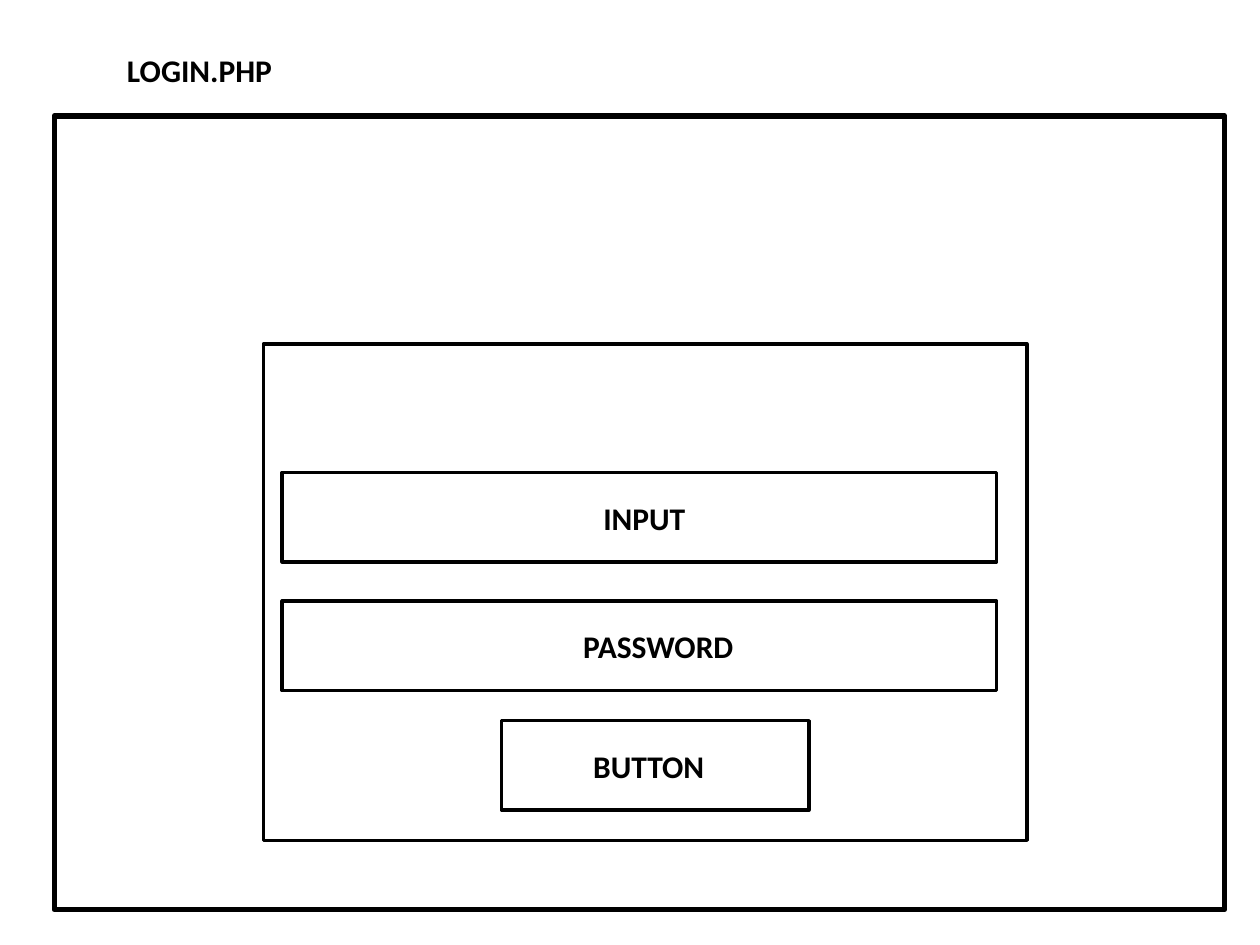
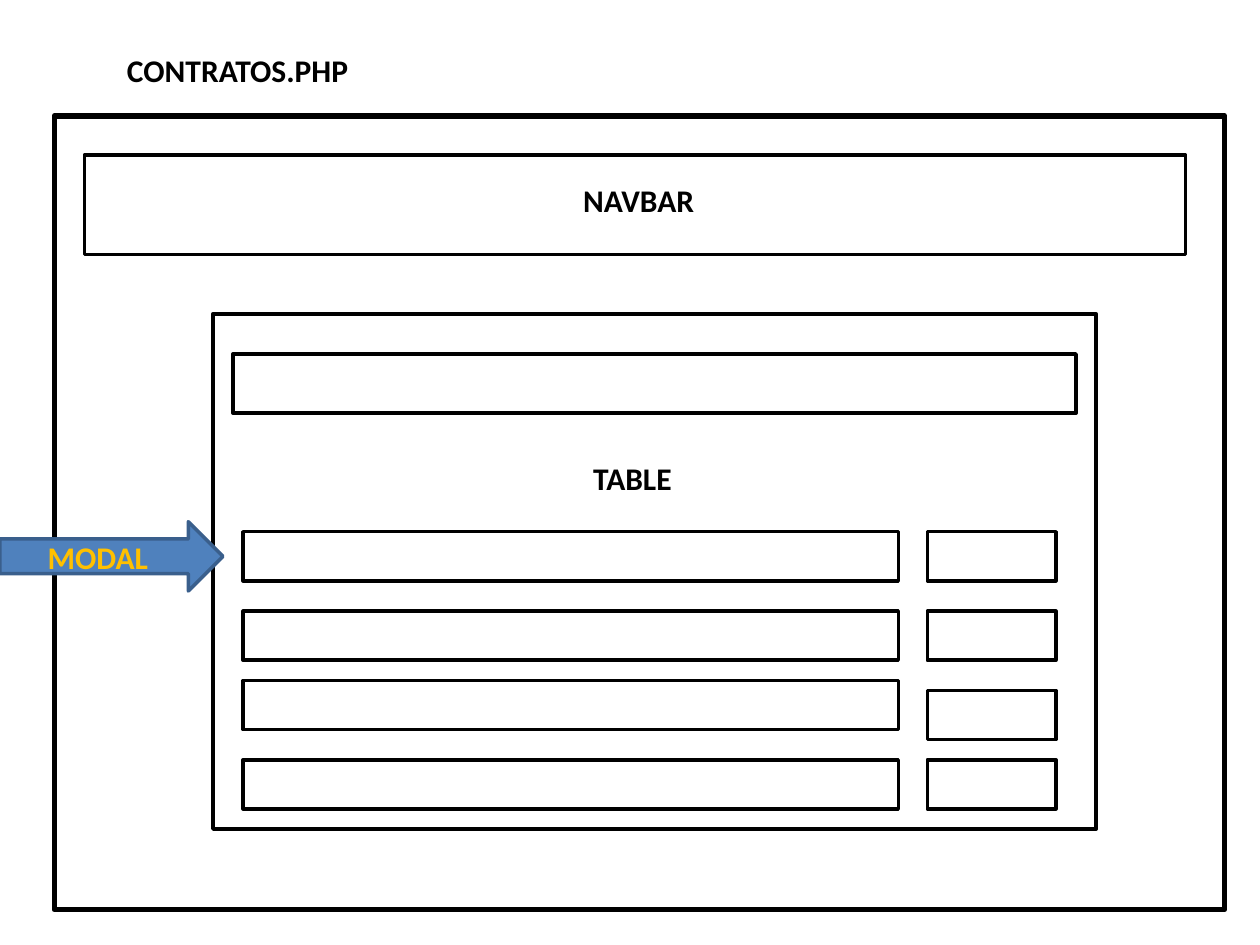
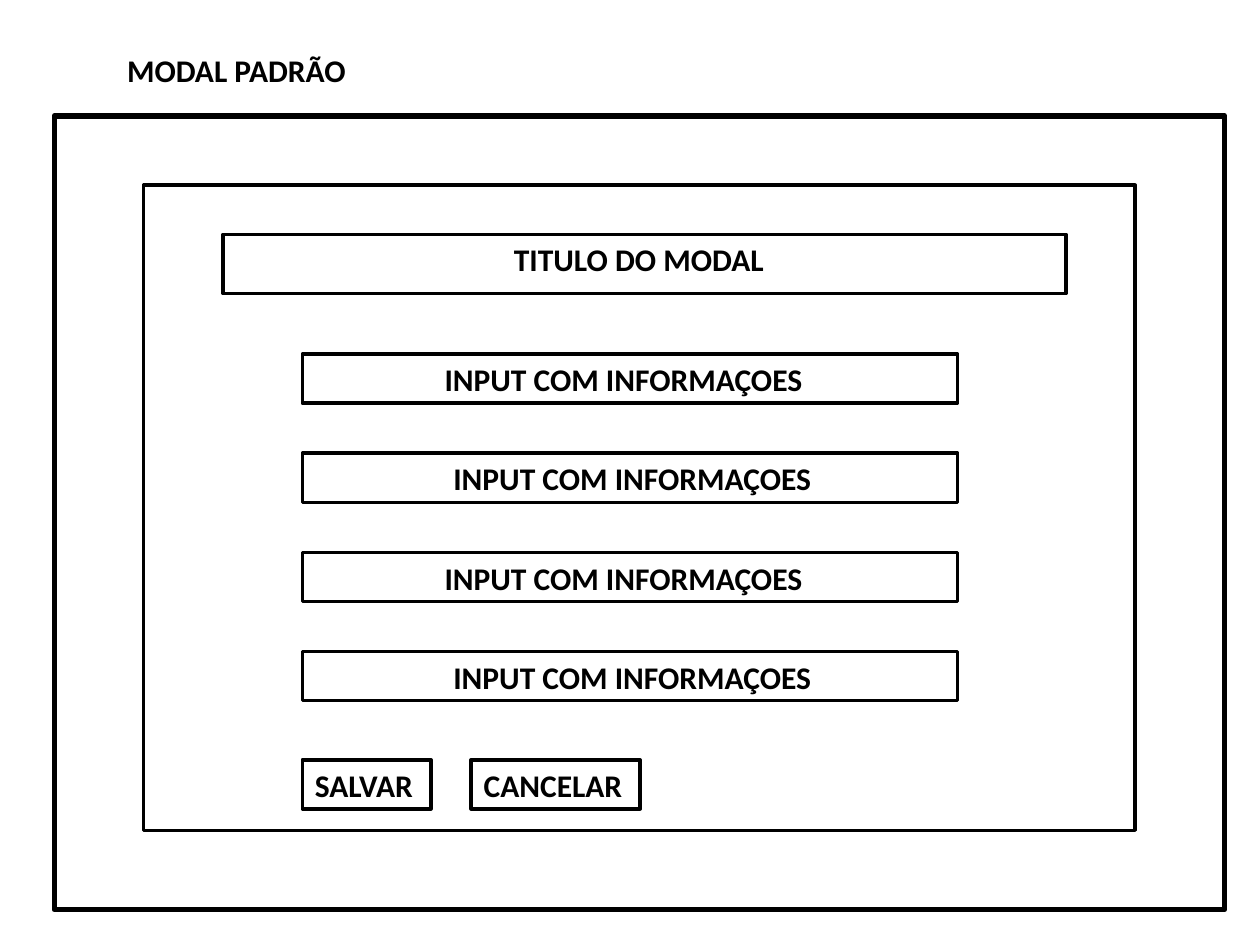
from pptx import Presentation
from pptx.dml.color import RGBColor
from pptx.enum.shapes import MSO_SHAPE
from pptx.enum.text import MSO_AUTO_SIZE
from pptx.util import Inches, Pt

RECTANGLE = MSO_SHAPE.RECTANGLE
RIGHT_ARROW = MSO_SHAPE.RIGHT_ARROW
FIT_SHAPE = MSO_AUTO_SIZE.SHAPE_TO_FIT_TEXT

COLORS = {
    "ink": "000000",
    "paper": "FFFFFF",
    "arrow": "4F81BD",
    "arrow_edge": "3A5F8C",
    "arrow_label": "FFC000",
}
FONT = "Calibri"
ROW_HEIGHT = 0.39
FIELD_WIDTH = 5.2
ACTION_WIDTH = 1.02
HEADING_SIZE = (6.69, 0.47)


def add_text(page, text, left, top, width, color="ink", size=18, bold=True, wrap=False):
    box = page.shapes.add_textbox(Inches(left), Inches(top), Inches(width), Inches(0.4))
    frame = box.text_frame
    frame.word_wrap = wrap
    frame.auto_size = FIT_SHAPE
    span = frame.paragraphs[0].add_run()
    span.text = text
    span.font.name = FONT
    span.font.size = Pt(size)
    span.font.bold = bold
    span.font.color.rgb = RGBColor.from_string(COLORS[color])


def add_block(page, left, top, width, height, kind=RECTANGLE, fill=None, line="ink", weight=2):
    block = page.shapes.add_shape(kind, Inches(left), Inches(top), Inches(width), Inches(height))
    block.shadow.inherit = False
    if fill:
        block.fill.solid()
        block.fill.fore_color.rgb = RGBColor.from_string(COLORS[fill])
    else:
        block.fill.background()
    block.line.color.rgb = RGBColor.from_string(COLORS[line])
    block.line.width = Pt(weight)


deck = Presentation()
deck.slide_width = Inches(10)
deck.slide_height = Inches(7.5)
blank = deck.slide_layouts[6]

pages = []
for title, title_width in (("LOGIN.PHP", 1.37), ("CONTRATOS.PHP", 1.97), ("MODAL PADRÃO", 2.01)):
    page = deck.slides.add_slide(blank)
    page.background.fill.solid()
    page.background.fill.fore_color.rgb = RGBColor.from_string(COLORS["paper"])
    add_block(page, 0.43, 0.92, 9.29, 6.3, weight=3)
    add_text(page, title, 0.91, 0.36, title_width)
    pages.append(page)
login, contracts, modal = pages

add_block(login, 2.09, 2.73, 6.06, 3.94)
for label, left, top, width, label_left, label_width in (
    ("INPUT", 2.24, 3.75, 5.67, 4.69, 0.86),
    ("PASSWORD", 2.24, 4.77, 5.67, 4.53, 1.41),
    ("BUTTON", 3.98, 5.72, 2.44, 4.61, 1.09),
):
    add_block(login, left, top, width, 0.71)
    add_text(login, label, label_left, top + 0.16, label_width)

add_block(contracts, 0.67, 1.23, 8.74, 0.79)
add_text(contracts, "NAVBAR", 4.53, 1.39, 1.09)
add_block(contracts, 1.69, 2.49, 7.01, 4.09)
add_block(contracts, 1.85, 2.81, *HEADING_SIZE)
add_text(contracts, "TABLE", 4.61, 3.59, 0.83)
for field_top, action_top in ((4.22, 4.22), (4.85, 4.85), (5.4, 5.48), (6.03, 6.03)):
    add_block(contracts, 1.93, field_top, FIELD_WIDTH, ROW_HEIGHT)
    add_block(contracts, 7.36, action_top, ACTION_WIDTH, ROW_HEIGHT)
add_block(contracts, 0, 4.14, 1.77, 0.55, kind=RIGHT_ARROW, fill="arrow", line="arrow_edge")
add_text(contracts, "MODAL", 0.28, 4.22, 1.01, color="arrow_label")

add_block(modal, 1.14, 1.47, 7.87, 5.12)
add_block(modal, 1.77, 1.86, *HEADING_SIZE)
add_text(modal, "TITULO DO MODAL", 3.98, 1.86, 2.2)
for row in range(4):
    top = 2.81 + row * 0.787
    add_block(modal, 2.4, top, FIELD_WIDTH, ROW_HEIGHT)
    add_text(modal, "INPUT COM INFORMAÇOES", 3.5 if row % 2 else 3.43, top, 3.07)
for label, left, width, label_width, wrap in (
    ("SALVAR", 2.4, ACTION_WIDTH, 0.99, False),
    ("CANCELAR", 3.74, 1.34, 1.34, True),
):
    add_block(modal, left, 6.03, width, ROW_HEIGHT)
    add_text(modal, label, left, 6.03, label_width, wrap=wrap)

deck.save("out.pptx")
